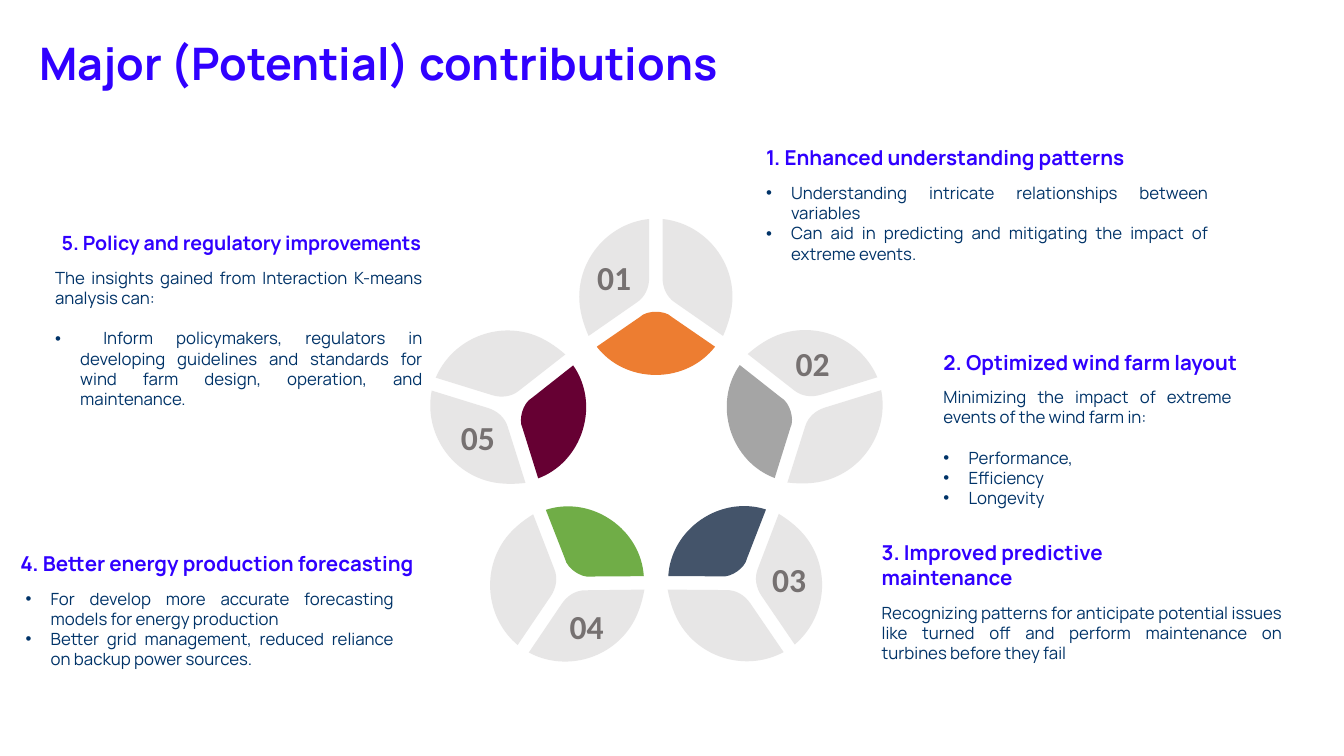
"""Build the slide of five major contributions around a ring of petal discs."""
from dataclasses import dataclass
from math import cos, radians, sin
from typing import Any

from lxml import etree
from pptx import Presentation
from pptx.dml.color import RGBColor
from pptx.enum import text
from pptx.oxml import ns
from pptx.util import Emu, Inches, Pt

BLUE = RGBColor(0x30, 0x00, 0xFF)
NAVY = RGBColor(0x00, 0x33, 0x68)
PALE = RGBColor(0xE7, 0xE6, 0xE6)
GREY = RGBColor(0x76, 0x71, 0x71)
AMBER = RGBColor(0xED, 0x7D, 0x31)
SILVER = RGBColor(0xA5, 0xA5, 0xA5)
SLATE = RGBColor(0x44, 0x54, 0x6A)
GREEN = RGBColor(0x70, 0xAD, 0x47)
WINE = RGBColor(0x66, 0x00, 0x33)

COLS, ROWS = 100, 56.25
CELL = Inches(0.1)
HUB = (4.88, 3.37)
STEPS = 20
HANG = Pt(13.5)
JUST, LEFT, RIGHT = text.PP_ALIGN.JUSTIFY, text.PP_ALIGN.LEFT, text.PP_ALIGN.RIGHT
Point = tuple[float, float]
Curve = tuple[Point, ...]


@dataclass
class Card:
    """A heading with its body text, placed in grid cells."""
    title: str
    head: tuple[float, float, float, float]
    body: tuple[float, float, float, float]
    lead: str = ""
    items: tuple[str, ...] = ()
    align: Any = LEFT
    size: float = 11


@dataclass
class Disc:
    """A disc of three petals at an angle and distance from the hub."""
    label: str
    angle: float
    dist: float
    color: RGBColor


CARDS = (
    Card("1. Enhanced understanding patterns", (57, 10.3, 43, 2.85), (57, 13.1, 32.85, 7.1),
         items=("Understanding intricate relationships between variables",
                "Can aid in predicting and mitigating the impact of extreme events.")),
    Card("2. Optimized wind farm layout", (70.2, 25.5, 22.8, 2.85), (70.2, 28.3, 21.4, 10.1),
         "Minimizing the impact of extreme events of the wind farm in:",
         ("Performance,", "Efficiency", "Longevity")),
    Card("3. Improved predictive maintenance", (65.6, 39.65, 25.8, 4.7), (65.6, 44.35, 29.75, 5.6),
         "Recognizing patterns for anticipate potential issues like turned off and "
         "perform maintenance on turbines before they fail"),
    Card("4. Better energy production forecasting", (1.5, 40.45, 29.3, 2.85), (1.9, 43.3, 27.35, 7.1),
         items=("For develop more accurate forecasting models for energy production",
                "Better grid management, reduced reliance on backup power sources."),
         align=RIGHT),
    Card("5. Policy and regulatory improvements", (3.85, 16.7, 27.5, 2.75), (4.1, 19.42, 27.3, 11.6),
         "The insights gained from Interaction K-means analysis can:",
         (" Inform policymakers, regulators in developing guidelines and standards "
          "for wind farm design, operation, and maintenance.",), RIGHT, 10.5),
)

DISCS = (
    Disc("01", 0, 1.16, AMBER),
    Disc("02", 72.8, 1.16, SILVER),
    Disc("03", 145.7, 1.18, SLATE),
    Disc("04", 214.1, 1.18, GREEN),
    Disc("05", 287.2, 1.15, WINE),
)

SIDE: tuple[Curve, ...] = (
    ((-0.05, -0.58),),
    ((-0.05, -0.14),),
    ((-0.05, -0.07), (-0.08, 0), (-0.14, 0.04)),
    ((-0.5, 0.29),),
    ((-0.54, 0.2), (-0.57, 0.1), (-0.57, 0)),
    ((-0.57, -0.3), (-0.34, -0.55), (-0.05, -0.58)),
)
TWIN: tuple[Curve, ...] = tuple(tuple((-a, b) for a, b in step) for step in SIDE)
BASE: tuple[Curve, ...] = (
    ((0, 0.11),),
    ((0.04, 0.11), (0.09, 0.12), (0.12, 0.15)),
    ((0.44, 0.37),),
    ((0.34, 0.5), (0.18, 0.58), (0, 0.58)),
    ((-0.18, 0.58), (-0.34, 0.5), (-0.44, 0.37)),
    ((-0.12, 0.15),),
    ((-0.09, 0.12), (-0.04, 0.11), (0, 0.11)),
)


def bounds(steps: list[list[Point]]) -> tuple[float, float, float, float]:
    """Return the left, top, right and bottom of an outline."""
    pts = list(steps[0])
    for step in steps[1:]:
        quad = (pts[-1], *step)
        for n in range(1, STEPS + 1):
            t = n / STEPS
            mix = ((1 - t) ** 3, 3 * t * (1 - t) ** 2, 3 * t * t * (1 - t), t ** 3)
            if len(step) == 1:
                mix = (1 - t, t)
            pts.append((sum(m * p[0] for m, p in zip(mix, quad)),
                        sum(m * p[1] for m, p in zip(mix, quad))))
    xs, ys = zip(*pts)
    return min(xs), min(ys), max(xs), max(ys)


def style(para: Any, size: float, color: RGBColor, face: str, bold: bool) -> None:
    """Give a paragraph its font."""
    for key, val in {"size": Pt(size), "name": face, "bold": bold}.items():
        setattr(para.font, key, val)
    para.font.color.rgb = color


def add_box(slide: Any, area: tuple[float, ...], anchor: Any, pad: float) -> Any:
    """Add a wrapping text box on the grid and return its frame."""
    frame = slide.shapes.add_textbox(*(Emu(int(n * CELL)) for n in area)).text_frame
    looks = {"word_wrap": True, "vertical_anchor": anchor,
             "margin_left": Inches(pad), "margin_right": Inches(pad)}
    for key, val in looks.items():
        setattr(frame, key, val)
    return frame


def add_bullet(para: Any) -> None:
    """Give a paragraph a hanging round bullet."""
    props = para._p.get_or_add_pPr()
    props.set("marL", str(int(HANG)))
    props.set("indent", str(-int(HANG)))
    etree.SubElement(props, ns.qn("a:buFont")).set("typeface", "Arial")
    etree.SubElement(props, ns.qn("a:buChar")).set("char", "•")


def add_card(slide: Any, card: Card) -> None:
    """Draw a heading and the text below it."""
    head = add_box(slide, card.head, text.MSO_ANCHOR.BOTTOM, 0).paragraphs[0]
    head.text, head.alignment = card.title, card.align
    style(head, card.size, BLUE, "Manrope", True)
    frame = add_box(slide, card.body, text.MSO_ANCHOR.TOP, 0)
    lines = ([card.lead] if card.lead else []) + list(card.items)
    for n, line in enumerate(lines):
        para = frame.add_paragraph() if n else frame.paragraphs[0]
        para.text, para.alignment = line, JUST
        if n == 1 and card.lead:
            para.space_before = Pt(10.8)
        if line in card.items:
            add_bullet(para)
        style(para, 9, NAVY, "Manrope", False)


def add_petal(slide: Any, disc: Disc, outline: tuple[Curve, ...], color: RGBColor) -> Any:
    """Draw one petal of true curves, turned to the angle of its disc."""
    s, c = sin(radians(disc.angle)), cos(radians(disc.angle))
    x, y = HUB[0] + disc.dist * s, HUB[1] - disc.dist * c
    steps = [[(x + a * c - b * s, y + a * s + b * c) for a, b in step] for step in outline]
    x1, y1, x2, y2 = (Inches(n) for n in bounds(steps))
    pen = slide.shapes.build_freeform(x1, y1)
    pen.add_line_segments([(x2, y1), (x2, y2), (x1, y2)], close=True)
    petal = pen.convert_to_shape()
    track = petal._element.find(".//" + ns.qn("a:path"))
    for node in list(track):
        track.remove(node)
    for n, step in enumerate(steps):
        tag = "a:moveTo" if n == 0 else "a:lnTo" if len(step) == 1 else "a:cubicBezTo"
        node = etree.SubElement(track, ns.qn(tag))
        for a, b in step:
            spot = etree.SubElement(node, ns.qn("a:pt"))
            spot.set("x", str(Inches(a) - x1))
            spot.set("y", str(Inches(b) - y1))
    etree.SubElement(track, ns.qn("a:close"))
    petal.shadow.inherit = False
    petal.fill.solid()
    petal.fill.fore_color.rgb = color
    petal.line.fill.background()
    return petal


def add_disc(slide: Any, disc: Disc) -> None:
    """Draw three petals and number the first."""
    frame = add_petal(slide, disc, SIDE, PALE).text_frame
    add_petal(slide, disc, TWIN, PALE)
    add_petal(slide, disc, BASE, disc.color)
    frame.vertical_anchor = text.MSO_ANCHOR.MIDDLE
    frame.margin_left = frame.margin_right = 0
    para = frame.paragraphs[0]
    para.text, para.alignment = disc.label, text.PP_ALIGN.CENTER
    style(para, 18, GREY, "Calibri", True)


def main() -> None:
    """Build and save the slide."""
    deck = Presentation()
    deck.slide_width, deck.slide_height = int(COLS * CELL), int(ROWS * CELL)
    slide = deck.slides.add_slide(deck.slide_layouts[6])
    title = add_box(slide, (1.95, 0.95, 86.2, 7.9), text.MSO_ANCHOR.MIDDLE, 0.1).paragraphs[0]
    title.text, title.line_spacing = "Major (Potential) contributions", 0.9
    style(title, 24, BLUE, "Manrope", True)
    for card in CARDS:
        add_card(slide, card)
    for disc in DISCS:
        add_disc(slide, disc)
    deck.save("out.pptx")


if __name__ == "__main__":
    main()
